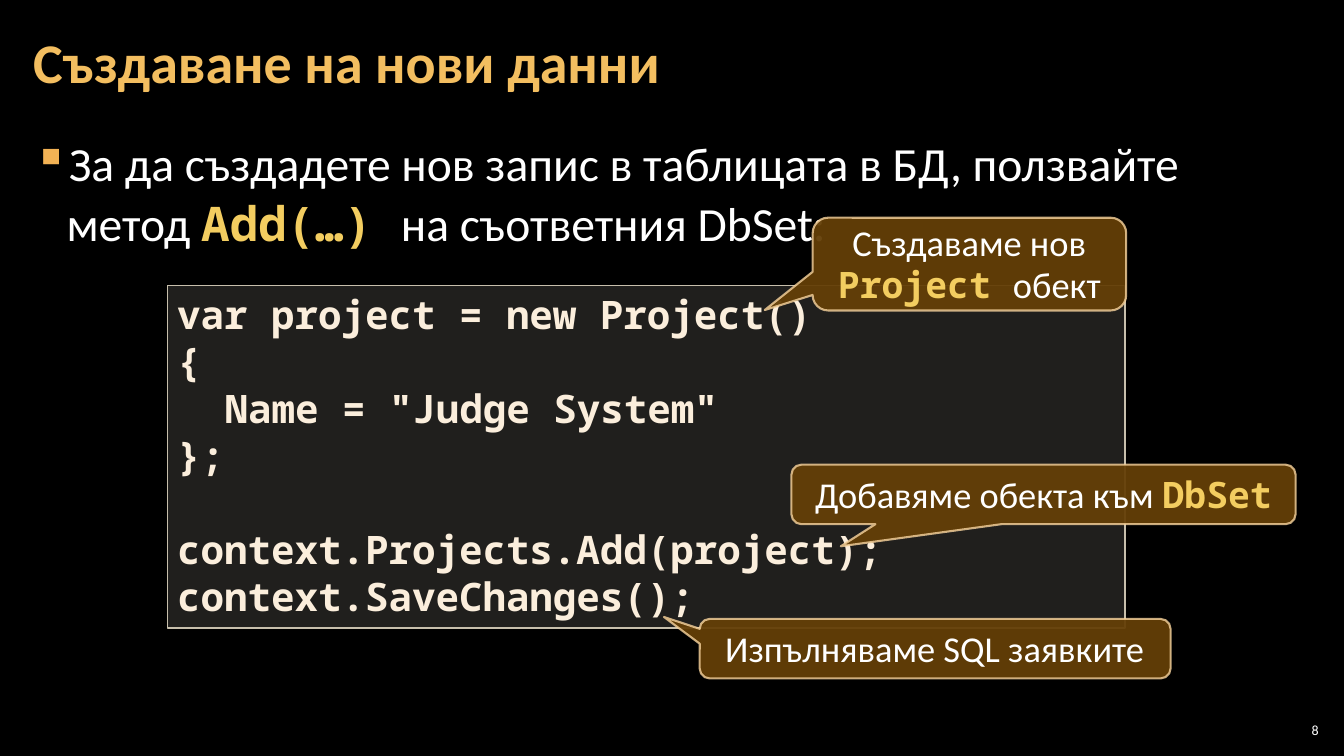
from lxml import etree
from pptx import Presentation
from pptx.dml.color import RGBColor
from pptx.enum import shapes, text
from pptx.oxml.ns import qn
from pptx.util import Inches, Pt

BODY, CODE = "Calibri", "Noto Sans Mono"
WHITE, YELLOW = "FFFFFF", "F3CD60"
LEFT, CENTER, RIGHT = text.PP_ALIGN.LEFT, text.PP_ALIGN.CENTER, text.PP_ALIGN.RIGHT
TOP, MIDDLE = text.MSO_ANCHOR.TOP, text.MSO_ANCHOR.MIDDLE


def paint(color_format, color, opacity=100):
    """Set a colour; opacity is in percent."""
    color_format.rgb = RGBColor.from_string(color)
    if opacity < 100:
        srgb = color_format._xFill.find(qn("a:srgbClr"))
        etree.SubElement(srgb, qn("a:alpha"), val=str(opacity * 1000))


def write(paragraph, runs, size, **paragraph_format):
    """Add (words, font, colour, bold) runs to a formatted paragraph."""
    for name, value in paragraph_format.items():
        setattr(paragraph, name, value)
    for words, font, color, bold in runs:
        run = paragraph.add_run()
        run.text = words
        for name, value in {"name": font, "size": Pt(size), "bold": bold}.items():
            setattr(run.font, name, value)
        paint(run.font.color, color)


presentation = Presentation()
presentation.slide_width, presentation.slide_height = Inches(13.33), Inches(7.5)
slide = presentation.slides.add_slide(presentation.slide_layouts[6])
slide.background.fill.solid()
paint(slide.background.fill.fore_color, "000000")

# Slide number, body and title
text_boxes = [
    ((12.65, 7.14, 0.47, 0.21), 0.04, MIDDLE, 10,
     [("8", BODY, WHITE, False)], {"alignment": RIGHT}),
    ((0.21, 1.26, 12.91, 6.09), 0.12, TOP, 34,
     [("За да създадете нов запис в таблицата в БД, ползвайте метод ", BODY, WHITE, False),
      ("Add(…) ", CODE, YELLOW, True),
      ("на съответния DbSet:", BODY, WHITE, False)],
     {"line_spacing": 1.05, "space_before": Pt(6), "space_after": Pt(6)}),
    ((0.21, 0.04, 10.47, 1.21), 0.12, MIDDLE, 40,
     [("Създаване на нови данни", BODY, "F3BE60", True)], {"line_spacing": 0.9}),
]
frames = []
for place, side_margin, anchor, size, runs, paragraph_format in text_boxes:
    frame = slide.shapes.add_textbox(*map(Inches, place)).text_frame
    frame_format = {
        "word_wrap": True, "vertical_anchor": anchor,
        "margin_left": Inches(side_margin), "margin_right": Inches(side_margin),
        "margin_top": Inches(0.04), "margin_bottom": Inches(0.04),
    }
    for name, value in frame_format.items():
        setattr(frame, name, value)
    write(frame.paragraphs[0], runs, size, **paragraph_format)
    frames.append(frame)

bullet_properties = frames[1].paragraphs[0]._p.get_or_add_pPr()
bullet_properties.set("marL", str(Inches(0.33)))
bullet_properties.set("indent", str(-Inches(0.33)))
bullet_color = etree.SubElement(bullet_properties, qn("a:buClr"))
etree.SubElement(bullet_color, qn("a:srgbClr"), val="F2B254")
etree.SubElement(bullet_properties, qn("a:buChar"), char="▪")

# Code block
code_block = slide.shapes.add_shape(
    shapes.MSO_SHAPE.RECTANGLE, *map(Inches, (1.66, 2.83, 9.5, 3.4)))
code_block.shadow.inherit = False
code_block.fill.solid()
paint(code_block.fill.fore_color, "D9D5C7", 15)
paint(code_block.line.color, "C7BFAC")
code_block.line.width = Pt(1)
code_block.text_frame.word_wrap = True
code_block.text_frame.vertical_anchor = TOP
code_lines = [  # words, left indent in inches, space before in points
    ("var project = new Project()", 0, 0),
    ("{", 0, 0),
    ('Name = "Judge System"', 0.47, 0),
    ("};", 0, 0),
    ("context.Projects.Add(project);", 0, 33.5),
    ("context.SaveChanges();", 0, 0),
]
for index, (words, indent, gap) in enumerate(code_lines):
    code_frame = code_block.text_frame
    paragraph = code_frame.add_paragraph() if index else code_frame.paragraphs[0]
    write(paragraph, [(words, CODE, "FBEEDC", True)], 28,
          alignment=LEFT, space_before=Pt(gap))
    paragraph._p.get_or_add_pPr().set("marL", str(Inches(indent)))

# Callouts: place, pointer tip, runs
callouts = [
    ((6.94, 6.14, 4.67, 0.59), (-0.576, -0.534),
     [("Изпълняваме SQL заявките", BODY, WHITE, False)]),
    ((8.06, 2.16, 3.11, 0.92), (-0.653, 0.496),
     [("Създаваме нов ", BODY, WHITE, False), ("Project ", CODE, YELLOW, True),
      ("обект", BODY, WHITE, False)]),
    ((7.85, 4.61, 5, 0.59), (-0.402, 0.872),
     [("Добавяме обекта към ", BODY, WHITE, False), ("DbSet", CODE, YELLOW, True)]),
]
for place, tip, runs in callouts:
    callout = slide.shapes.add_shape(
        shapes.MSO_SHAPE.ROUNDED_RECTANGULAR_CALLOUT, *map(Inches, place))
    callout.adjustments[0], callout.adjustments[1] = tip
    callout.shadow.inherit = False
    callout.fill.solid()
    paint(callout.fill.fore_color, "643F07", 95)
    paint(callout.line.color, "F8D49E", 80)
    callout.line.width = Pt(1.5)
    callout.text_frame.word_wrap = True
    callout.text_frame.vertical_anchor = MIDDLE
    write(callout.text_frame.paragraphs[0], runs, 26,
          alignment=CENTER, line_spacing=Pt(30))

presentation.save("out.pptx")
